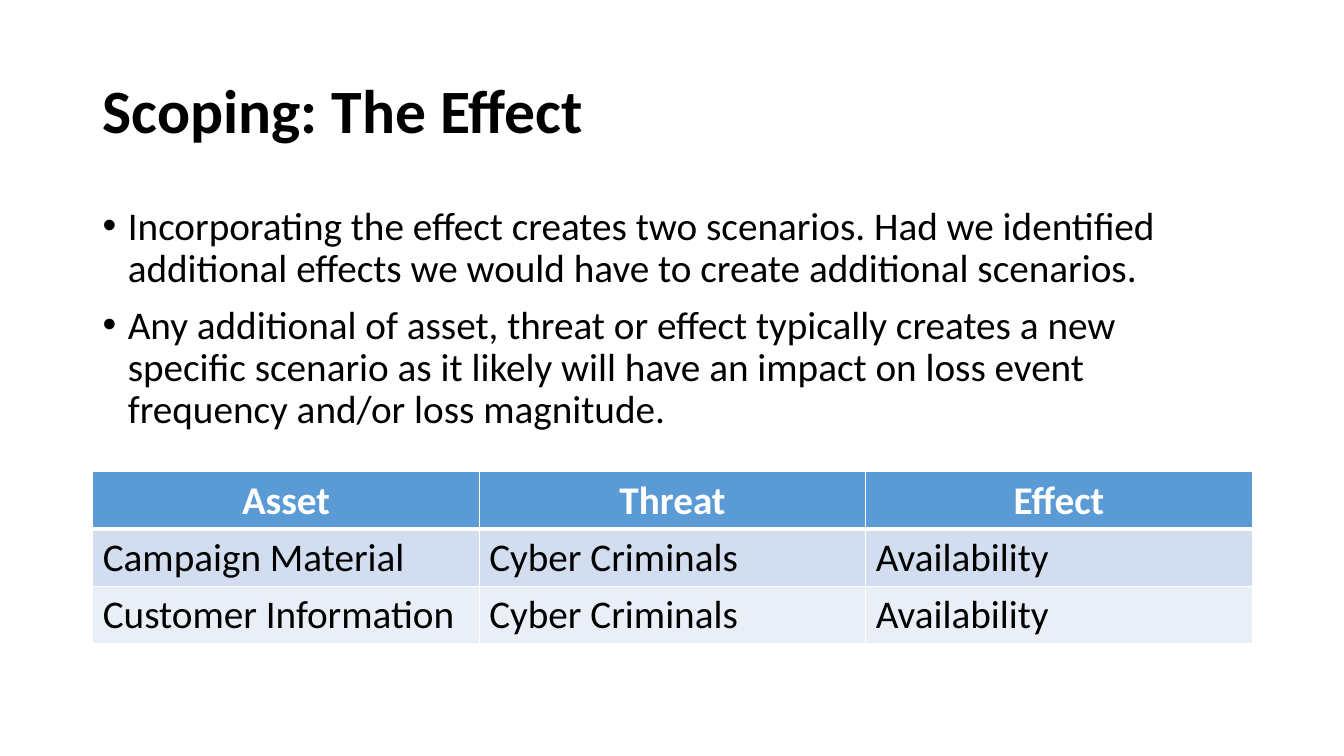
from dataclasses import dataclass

from lxml import etree
from pptx import Presentation
from pptx.dml.color import RGBColor
from pptx.enum import text as t
from pptx.oxml import ns
from pptx.util import Inches, Pt


@dataclass(frozen=True)
class Theme:
    font: str = "Calibri"
    title_size: int = 44
    text_size: int = 28
    ink: str = "000000"
    white: str = "FFFFFF"
    header: str = "5B9BD5"
    bands: tuple = ("D2DEEF", "EAEFF7")


THEME = Theme()
LEFT, WIDTH = 0.92, 11.5
ROW_HEIGHT = 0.57
BULLETS = [
    "Incorporating the effect creates two scenarios. Had we identified "
    "additional effects we would have to create additional scenarios.",
    "Any additional of asset, threat or effect typically creates a new specific "
    "scenario as it likely will have an impact on loss event frequency and/or "
    "loss magnitude.",
]
SCENARIOS = [
    ["Asset", "Threat", "Effect"],
    ["Campaign Material", "Cyber Criminals", "Availability"],
    ["Customer Information", "Cyber Criminals", "Availability"],
]


def write(para, text, size=THEME.text_size, color=THEME.ink, bold=False,
          align=t.PP_ALIGN.LEFT, line_spacing=None, space_before=0, bullet=None):
    para.alignment = align
    para.space_before = Pt(space_before)
    if line_spacing:
        para.line_spacing = line_spacing
    if bullet:
        props = para._p.get_or_add_pPr()
        props.set("marL", str(Inches(0.25)))
        props.set("indent", str(Inches(-0.25)))
        etree.SubElement(props, ns.qn("a:buFont"), typeface="Arial")
        etree.SubElement(props, ns.qn("a:buChar"), char=bullet)
    span = para.add_run()
    span.text = text
    span.font.name = THEME.font
    span.font.size = Pt(size)
    span.font.bold = bold
    span.font.color.rgb = RGBColor.from_string(color)


def add_text(page, top, height, texts, anchor=t.MSO_ANCHOR.TOP, **style):
    box = page.shapes.add_textbox(Inches(LEFT), Inches(top), Inches(WIDTH), Inches(height))
    frame = box.text_frame
    frame.word_wrap = True
    frame.vertical_anchor = anchor
    for index, text in enumerate(texts):
        para = frame.add_paragraph() if index else frame.paragraphs[0]
        write(para, text, line_spacing=0.9, **style)


def set_borders(cell, **widths):
    props = cell._tc.get_or_add_tcPr()
    for index, side in enumerate("LRTB"):
        line = etree.Element(ns.qn(f"a:ln{side}"), w=str(Pt(widths.get(side, 1))))
        fill = etree.SubElement(line, ns.qn("a:solidFill"))
        etree.SubElement(fill, ns.qn("a:srgbClr"), val=THEME.white)
        props.insert(index, line)


def add_table(page, top, rows):
    frame = page.shapes.add_table(len(rows), len(rows[0]), Inches(LEFT), Inches(top),
                                  Inches(WIDTH), Inches(ROW_HEIGHT * len(rows)))
    table = frame.table
    for row_index, texts in enumerate(rows):
        is_header = row_index == 0
        color = THEME.header if is_header else THEME.bands[(row_index - 1) % 2]
        for column, text in enumerate(texts):
            cell = table.cell(row_index, column)
            cell.fill.solid()
            cell.fill.fore_color.rgb = RGBColor.from_string(color)
            set_borders(cell, T=3 if row_index == 1 else 1, B=3 if is_header else 1)
            write(cell.text_frame.paragraphs[0], text, bold=is_header,
                  color=THEME.white if is_header else THEME.ink,
                  align=t.PP_ALIGN.CENTER if is_header else t.PP_ALIGN.LEFT)


def main():
    deck = Presentation()
    deck.slide_width, deck.slide_height = Inches(13.33), Inches(7.5)
    page = deck.slides.add_slide(deck.slide_layouts[6])
    add_text(page, 0.4, 1.45, ["Scoping: The Effect"], anchor=t.MSO_ANCHOR.MIDDLE,
             size=THEME.title_size, bold=True)
    add_text(page, 2, 4.76, BULLETS, space_before=10, bullet="•")
    add_table(page, 4.68, SCENARIOS)
    deck.save("out.pptx")


if __name__ == "__main__":
    main()
